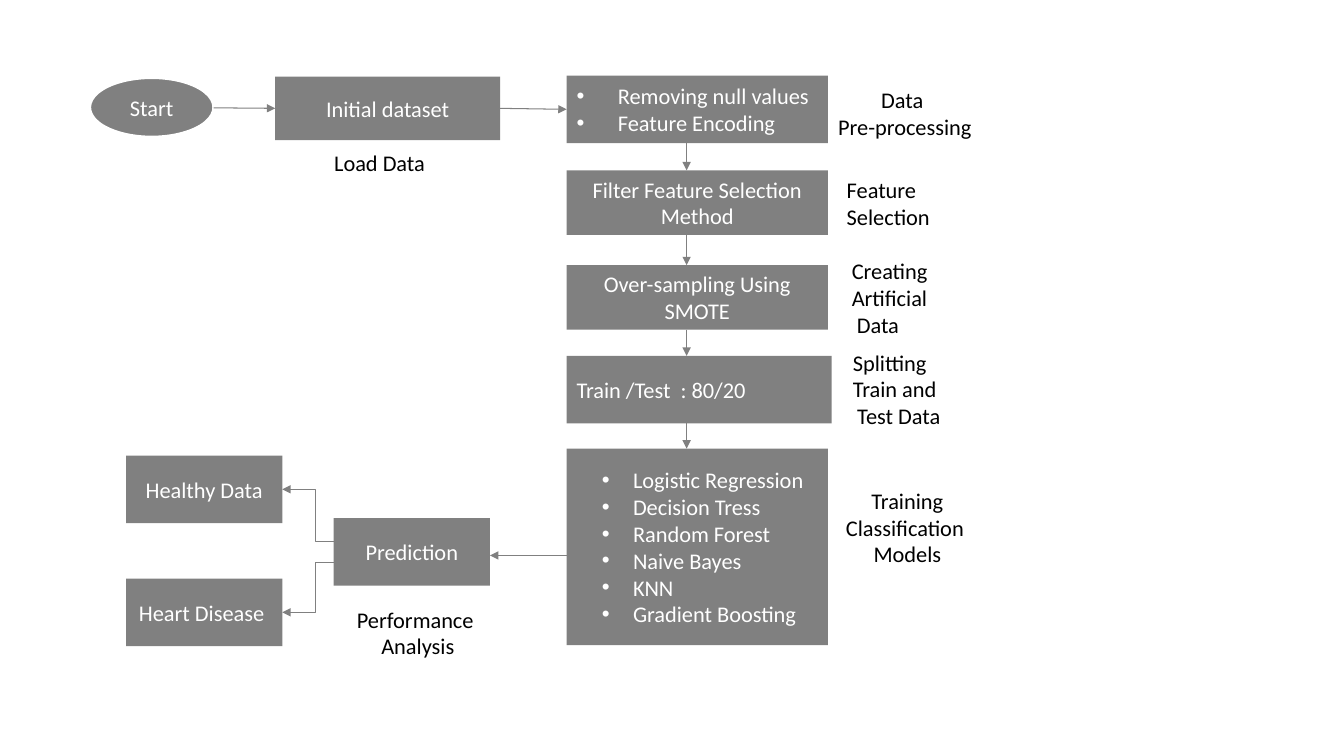
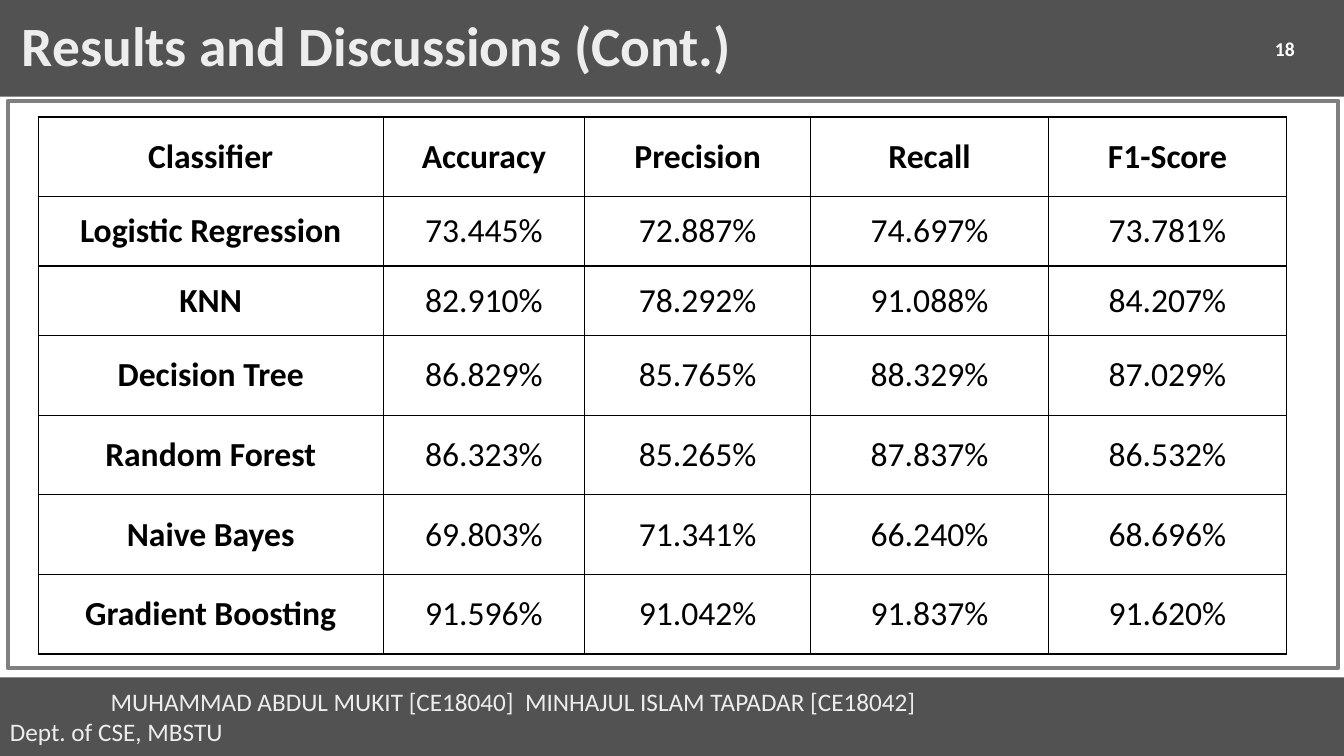
"""Build a workflow slide and a results slide."""
from lxml import etree
from pptx import Presentation
from pptx import util as u
from pptx.dml.color import RGBColor
from pptx.enum import shapes, text
from pptx.oxml.ns import qn

FONT = "Calibri"
GREY, BAND, FRAME = "808080", "525252", "7F7F7F"
WHITE, BLACK, PALE = "FFFFFF", "000000", "EDEDED"
WIDTH, HEIGHT = 13.33, 7.5
HEAD_HEIGHT, FOOT_TOP = 0.96, 6.72
MAIN_LEFT, MAIN_WIDTH, ARROW_X = 5.62, 2.59, 6.81
SIDE_WIDTH, SIDE_HEIGHT = 1.55, 0.67
LEFT, CENTER, RIGHT = text.PP_ALIGN.LEFT, text.PP_ALIGN.CENTER, text.PP_ALIGN.RIGHT
TOP, MIDDLE = text.MSO_ANCHOR.TOP, text.MSO_ANCHOR.MIDDLE
RECTANGLE, OVAL = shapes.MSO_SHAPE.RECTANGLE, shapes.MSO_SHAPE.OVAL
STRAIGHT, ELBOW = shapes.MSO_CONNECTOR.STRAIGHT, shapes.MSO_CONNECTOR.ELBOW

STEPS = [
    (0.75, 0.67, MAIN_WIDTH, ["Removing null values", "Feature Encoding"],
     dict(align=LEFT, indent=0.41, hanging=0.41)),
    (1.69, 0.64, MAIN_WIDTH, ["Filter Feature Selection Method"], {}),
    (2.63, 0.64, MAIN_WIDTH, ["Over-sampling Using SMOTE"], {}),
    (3.53, 0.67, 2.63, ["Train /Test  : 80/20"], dict(align=LEFT)),
    (4.45, 1.95, MAIN_WIDTH,
     ["Logistic Regression", "Decision Tress", "Random Forest", "Naive Bayes",
      "KNN", "Gradient Boosting"],
     dict(align=LEFT, indent=0.56, hanging=0.31)),
]
LABELS = [
    (3.21, 1.43, 1.11, 0.37, ["Load Data"], [CENTER]),
    (8.16, 0.81, 1.63, 0.64, ["Data ", "Pre-processing"], [CENTER] * 2),
    (8.3, 1.7, 1.83, 0.64, ["Feature", "Selection"], [LEFT] * 2),
    (8.35, 2.5, 1.44, 0.91, ["Creating Artificial", " Data"], [LEFT] * 2),
    (8.36, 3.41, 1.11, 0.91, ["Splitting Train and", "Test Data"], [LEFT, CENTER]),
    (8.06, 4.78, 1.83, 0.91, [" Training Classification", " Models"], [CENTER] * 2),
    (3.23, 5.96, 1.83, 0.64, ["Performance ", "Analysis"], [CENTER] * 2),
]
COLUMNS = [3.42, 2, 2.24, 2.36, 2.36]
ROWS = [0.79, 0.69, 0.69, 0.79, 0.79, 0.79, 0.79]
RESULTS = [
    ["Classifier", "Accuracy", "Precision", "Recall", "F1-Score"],
    ["Logistic Regression", "73.445%", "72.887%", "74.697%", "73.781%"],
    ["KNN", "82.910%", "78.292%", "91.088%", "84.207%"],
    ["Decision Tree", "86.829%", "85.765%", "88.329%", "87.029%"],
    ["Random Forest", "86.323%", "85.265%", "87.837%", "86.532%"],
    ["Naive Bayes", "69.803%", "71.341%", "66.240%", "68.696%"],
    ["Gradient Boosting", "91.596%", "91.042%", "91.837%", "91.620%"],
]


def color(value):
    """Turn a hex string into a colour."""
    return RGBColor.from_string(value)


def inches(*lengths):
    """Convert lengths to slide units."""
    return [u.Inches(length) for length in lengths]


def child(parent, tag, **attributes):
    """Append a DrawingML element."""
    return etree.SubElement(parent, qn(tag), attributes)


def write(frame, lines, size=16, ink=WHITE, bold=False, align=CENTER, anchor=MIDDLE,
          indent=0, hanging=0, spacing=None):
    """Fill a text frame; align and indent may be one value or one per line."""
    frame.word_wrap = True
    frame.vertical_anchor = anchor
    for index, line in enumerate(lines):
        para = frame.paragraphs[0] if index == 0 else frame.add_paragraph()
        para.alignment = align[index] if isinstance(align, list) else align
        para.line_spacing = spacing
        margin = indent[index] if isinstance(indent, list) else indent
        properties = para._p.get_or_add_pPr()
        properties.set("marL", str(u.Inches(margin)))
        properties.set("indent", str(u.Inches(-hanging)))
        if hanging:
            child(child(properties, "a:buClr"), "a:srgbClr", val=ink)
            child(properties, "a:buFont", typeface="Arial")
            child(properties, "a:buChar", char="•")
        span = para.add_run()
        span.text = line
        span.font.name, span.font.size, span.font.bold = FONT, u.Pt(size), bold
        span.font.color.rgb = color(ink)


def add_box(page, left, top, width, height, lines=(), kind=RECTANGLE, fill=GREY,
            line=None, weight=1, **style):
    """Add a filled shape with optional outline and text."""
    box = page.shapes.add_shape(kind, *inches(left, top, width, height))
    box.shadow.inherit = False
    box.fill.solid()
    box.fill.fore_color.rgb = color(fill)
    if line:
        box.line.color.rgb = color(line)
        box.line.width = u.Pt(weight)
    else:
        box.line.fill.background()
    write(box.text_frame, lines, **style)
    return box


def add_label(page, left, top, width, height, lines, **style):
    """Add a plain text box."""
    label = page.shapes.add_textbox(*inches(left, top, width, height))
    write(label.text_frame, lines, **style)


def add_arrow(page, start, end, kind=STRAIGHT, source=None, target=None):
    """Add an arrow, joined to (shape, side) pairs where given."""
    arrow = page.shapes.add_connector(kind, *inches(*start, *end))
    if source:
        arrow.begin_connect(*source)
    if target:
        arrow.end_connect(*target)
    arrow.line.color.rgb = color(GREY)
    arrow.line.width = u.Pt(0.75)
    child(arrow.line._get_or_add_ln(), "a:tailEnd", type="triangle")
    child(arrow._element.spPr, "a:effectLst")


def add_table(page, left, top):
    """Add the bordered results table."""
    table = page.shapes.add_table(
        len(ROWS), len(COLUMNS), *inches(left, top, sum(COLUMNS), sum(ROWS))).table
    table.first_row = table.horz_banding = False
    for column, width in zip(table.columns, COLUMNS):
        column.width = u.Inches(width)
    for row, (height, values) in enumerate(zip(ROWS, RESULTS)):
        table.rows[row].height = u.Inches(height)
        for column, value in enumerate(values):
            cell = table.cell(row, column)
            cell.vertical_anchor = MIDDLE
            write(cell.text_frame, [value], size=24, ink=BLACK,
                  bold=row == 0 or column == 0)
            cell.fill.solid()
            cell.fill.fore_color.rgb = color(WHITE)
            add_borders(cell)


def add_borders(cell):
    """Draw a thin black line on each side of a cell."""
    properties = cell._tc.get_or_add_tcPr()
    for index, side in enumerate(("a:lnL", "a:lnR", "a:lnT", "a:lnB")):
        edge = child(properties, side, w=str(u.Pt(1)))
        child(child(edge, "a:solidFill"), "a:srgbClr", val=BLACK)
        properties.insert(index, edge)


def build_workflow(page):
    """Draw the classification workflow."""
    start = add_box(page, 0.89, 0.77, 1.23, 0.59, ["Start"], kind=OVAL,
                    line=WHITE, weight=2)
    dataset = add_box(page, 2.73, 0.76, 2.23, 0.63, ["Initial dataset"])
    steps = [add_box(page, MAIN_LEFT, top, width, height, lines, **style)
             for top, height, width, lines, style in STEPS]
    prediction = add_box(page, 3.31, 5.14, SIDE_WIDTH, SIDE_HEIGHT, ["Prediction"])
    healthy, disease = [
        add_box(page, 1.25, top, SIDE_WIDTH, SIDE_HEIGHT, [name])
        for top, name in ((4.52, "Healthy Data"), (5.74, "Heart Disease "))]

    add_arrow(page, ((start.left + start.width) / u.Inches(1), 1.07), (2.73, 1.07),
              target=(dataset, 1))
    add_arrow(page, (4.96, 1.08), (MAIN_LEFT, 1.08),
              source=(dataset, 3), target=(steps[0], 1))
    for upper, lower in zip(STEPS, STEPS[1:]):
        add_arrow(page, (ARROW_X, upper[0] + upper[1]), (ARROW_X, lower[0]))
    add_arrow(page, (MAIN_LEFT, 5.51),
              ((prediction.left + prediction.width) / u.Inches(1), 5.51))
    for level, outcome in ((5.37, healthy), (5.58, disease)):
        add_arrow(page, (3.45, level), (2.8, level), ELBOW, target=(outcome, 3))

    for left, top, width, height, lines, align in LABELS:
        add_label(page, left, top, width, height, lines, ink=BLACK, align=align,
                  anchor=TOP)


def build_results(page):
    """Draw the titled results table with its bands."""
    add_box(page, 0, 0, WIDTH, HEAD_HEIGHT, ["Results and Discussions (Cont.)"],
            fill=BAND, size=39.6, ink=PALE, bold=True, align=LEFT, indent=0.12,
            spacing=0.9)
    add_label(page, 9.94, 0.28, 3, 0.4, ["18"], size=14, bold=True, align=RIGHT)
    add_box(page, 0, FOOT_TOP, WIDTH, HEIGHT - FOOT_TOP,
            ["MUHAMMAD ABDUL MUKIT [CE18040]  MINHAJUL ISLAM TAPADAR [CE18042]",
             "Dept. of CSE, MBSTU"],
            fill=BAND, size=18, ink=PALE, align=LEFT, indent=[1, 0])
    add_box(page, 0.08, 1, 13.19, 5.63, fill=WHITE, line=FRAME, weight=3)
    add_table(page, 0.38, 1.16)


def main():
    """Build and save the deck."""
    deck = Presentation()
    deck.slide_width, deck.slide_height = inches(WIDTH, HEIGHT)
    for build in (build_workflow, build_results):
        build(deck.slides.add_slide(deck.slide_layouts[6]))
    deck.save("out.pptx")


if __name__ == "__main__":
    main()
